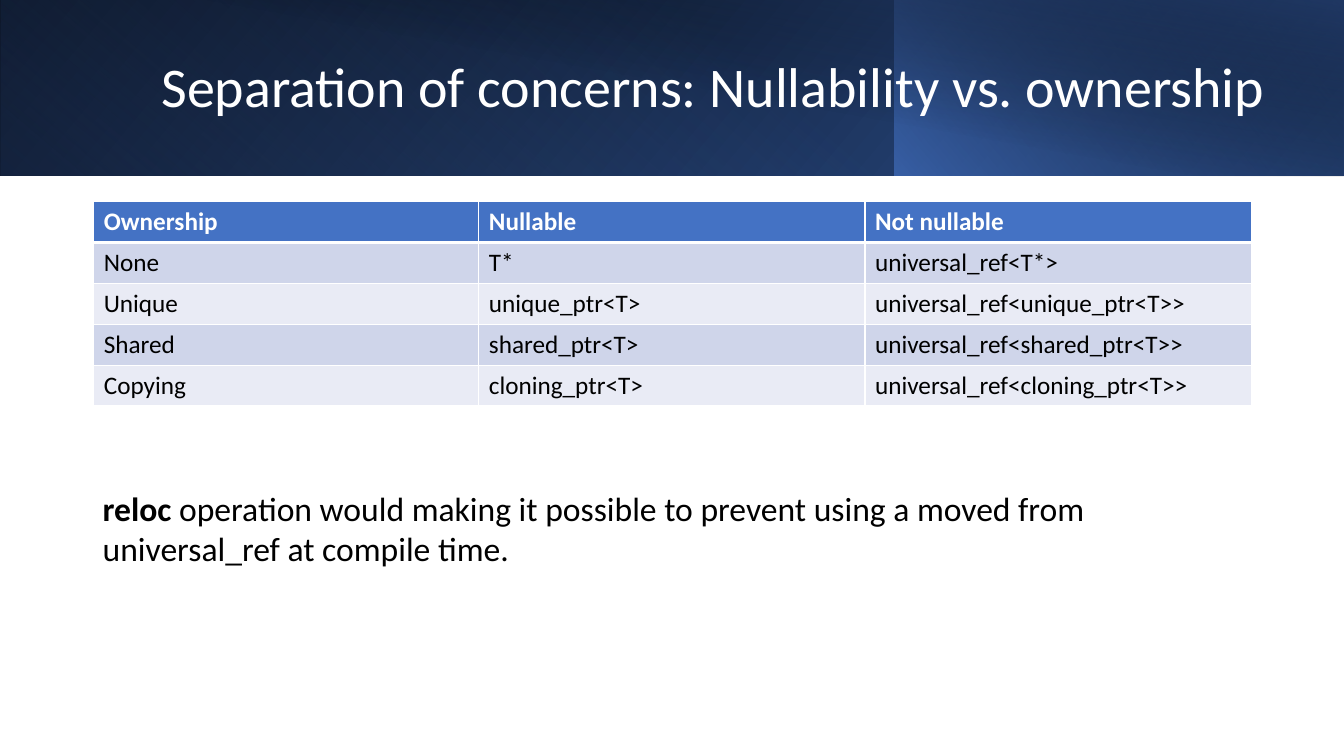
from lxml import etree
from pptx import Presentation
from pptx.dml.color import RGBColor
from pptx.enum import shapes, text
from pptx.oxml import ns
from pptx.util import Inches, Pt

WHITE, BLACK, BLUE, NAVY = "FFFFFF", "000000", "4472C4", "203864"
STRIPES = ["E9EBF5", "CFD5EA"]

# left, width, height, rotation, flipped, angle, stops (position, colour, opacity)
BANDS = [
    (0, 13.33, 1.74, 0, True, 140, [(0, BLACK, 100), (100, "2F5597", 100)]),
    (0, 8.88, 1.74, 180, True, 230, [(20, BLUE, 0), (100, NAVY, 55)]),
    (8.87, 4.46, 1.74, 0, True, 220, [(0, BLUE, 66), (100, BLACK, 30)]),
    (0.5, 12.83, 1.75, 0, False, 280, [(50, BLACK, 0), (99, NAVY, 52)]),
]

ROWS = [
    ("Ownership", "Nullable", "Not nullable"),
    ("None", "T*", "universal_ref<T*>"),
    ("Unique", "unique_ptr<T>", "universal_ref<unique_ptr<T>>"),
    ("Shared", "shared_ptr<T>", "universal_ref<shared_ptr<T>>"),
    ("Copying", "cloning_ptr<T>", "universal_ref<cloning_ptr<T>>"),
]


def rgb(code):
    return RGBColor.from_string(code)


def sub(node, tag, **attrs):
    """Add a DrawingML child element."""
    return etree.SubElement(node, ns.qn("a:" + tag), **attrs)


class Deck:
    font = "Calibri"

    def __init__(self):
        self.prs = Presentation()
        self.prs.slide_width = Inches(13.33)
        self.prs.slide_height = Inches(7.5)
        self.slide = self.prs.slides.add_slide(self.prs.slide_layouts[5])

    def run(self, para, words, size, color, bold=False):
        run = para.add_run()
        run.text = words
        font = run.font
        font.name, font.size, font.bold = self.font, Pt(size), bold
        font.color.rgb = rgb(color)

    def band(self, left, width, height, turn, flip, angle, stops):
        box = self.slide.shapes.add_shape(
            shapes.MSO_SHAPE.RECTANGLE,
            Inches(left), 0, Inches(width), Inches(height))
        box.shadow.inherit = False
        box.line.fill.background()
        box.rotation = turn
        if flip:
            box._element.spPr.xfrm.set("flipH", "1")
        box.fill.gradient()
        box.fill.gradient_angle = 360 - angle
        for stop, (pos, color, alpha) in zip(box.fill.gradient_stops, stops):
            stop.position = pos / 100
            stop.color.rgb = rgb(color)
        for node, (pos, color, alpha) in zip(
                box._element.spPr.iter(ns.qn("a:srgbClr")), stops):
            if alpha < 100:
                sub(node, "alpha", val=str(alpha * 1000))

    def title(self, words, left, top, width, height):
        box = self.slide.shapes.title
        box.left, box.top = Inches(left), Inches(top)
        box.width, box.height = Inches(width), Inches(height)
        # Bring the title in front of the bands
        box._element.getparent().append(box._element)
        frame = box.text_frame
        frame.word_wrap = True
        frame.auto_size = text.MSO_AUTO_SIZE.NONE
        frame.vertical_anchor = text.MSO_ANCHOR.MIDDLE
        para = frame.paragraphs[0]
        para.alignment = text.PP_ALIGN.LEFT
        para.line_spacing = 0.9
        self.run(para, words, 40, WHITE)

    def border(self, cell, **widths):
        props = cell._tc.get_or_add_tcPr()
        for spot, side in enumerate("LRTB"):
            line = etree.Element(ns.qn("a:ln" + side),
                                 w=str(Pt(widths.get(side, 1))))
            sub(sub(line, "solidFill"), "srgbClr", val=WHITE)
            props.insert(spot, line)

    def table(self, rows, left, top, widths, height):
        grid = self.slide.shapes.add_table(
            len(rows), len(widths), Inches(left), Inches(top),
            Inches(sum(widths)), Inches(height * len(rows))).table
        for col, width in zip(grid.columns, widths):
            col.width = Inches(width)
        for i, row in enumerate(rows):
            grid.rows[i].height = Inches(height)
            head = i == 0
            for j, words in enumerate(row):
                cell = grid.cell(i, j)
                cell.fill.solid()
                cell.fill.fore_color.rgb = rgb(BLUE if head else STRIPES[i % 2])
                self.border(cell, B=3 if head else 1, T=3 if i == 1 else 1)
                self.run(cell.text_frame.paragraphs[0], words, 18,
                         WHITE if head else BLACK, head)

    def note(self, runs, left, top, width, height):
        frame = self.slide.shapes.add_textbox(
            Inches(left), Inches(top), Inches(width), Inches(height)).text_frame
        frame.word_wrap = True
        frame.auto_size = text.MSO_AUTO_SIZE.SHAPE_TO_FIT_TEXT
        for words, bold in runs:
            self.run(frame.paragraphs[0], words, 24, BLACK, bold)


def main():
    deck = Deck()
    for band in BANDS:
        deck.band(*band)
    deck.title("Separation of concerns: Nullability vs. ownership",
               1.5, 0.32, 11.69, 1.13)
    deck.table(ROWS, 0.93, 2, [3.82, 3.83, 3.83], 0.405)
    deck.note([("reloc", True),
               (" operation would making it possible to prevent using a moved "
                "from universal_ref at compile time.", False)],
              0.92, 4.79, 11.5, 0.91)
    deck.prs.save("out.pptx")


if __name__ == "__main__":
    main()
